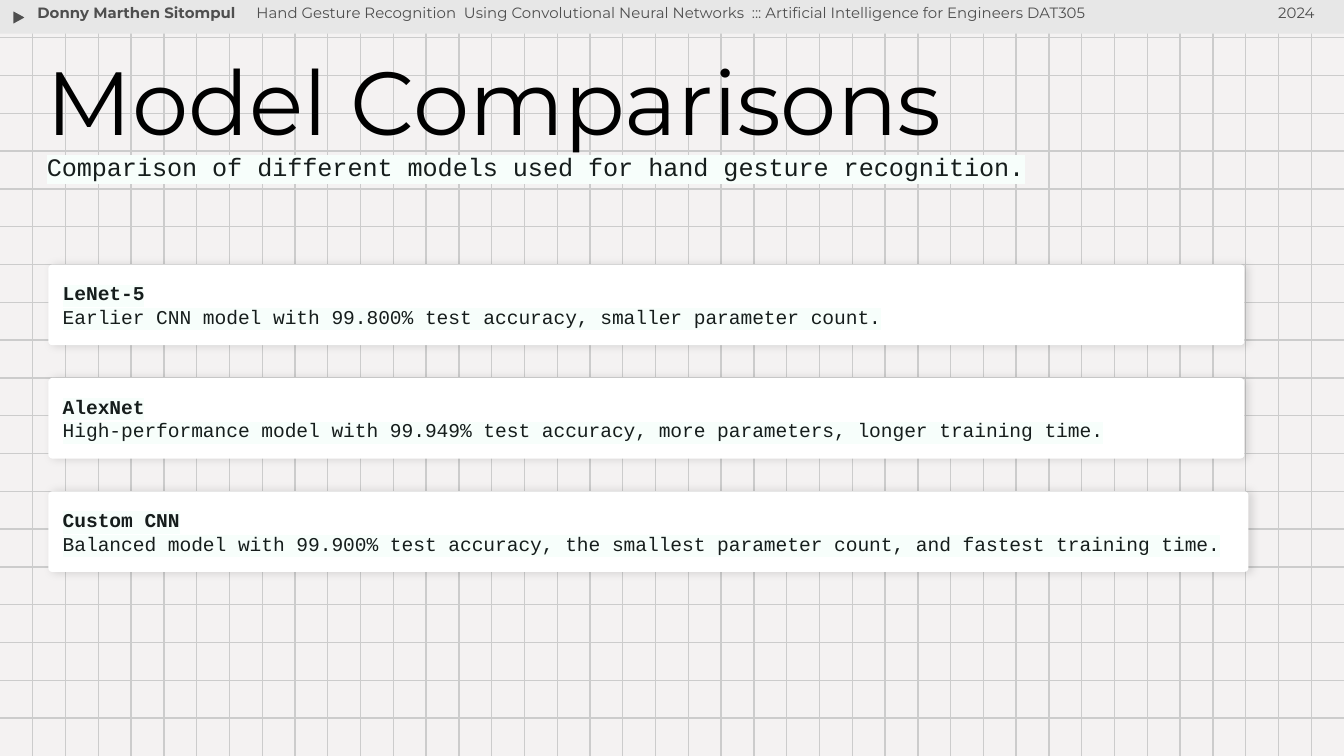
"""Build the Model Comparisons slide: gridded paper, header bar, title and model cards."""
from lxml.etree import SubElement
from pptx import Presentation
from pptx.dml.color import RGBColor
from pptx.enum.shapes import MSO_CONNECTOR, MSO_SHAPE
from pptx.enum.text import MSO_ANCHOR, PP_ALIGN
from pptx.oxml.ns import qn
from pptx.util import Inches, Pt

PAPER = RGBColor(0xF4, 0xF2, 0xF2)
GRID = RGBColor(0xCC, 0xCC, 0xCC)
BAR = RGBColor(0xE7, 0xE7, 0xE7)
GREY = RGBColor(0x4F, 0x4F, 0x4F)
BLACK = RGBColor(0, 0, 0)
WHITE = RGBColor(0xFF, 0xFF, 0xFF)
INK = RGBColor(0x16, 0x1D, 0x1C)
MINT = RGBColor(0xF7, 0xFE, 0xFB)

SANS, MONO = "Montserrat", "Courier New"
W = Inches(10)
H = W * 9 // 16
COLS, ROWS = 41, 20
COL, ROW = W / COLS, H / ROWS

HEADER = [
    ("2024", 0.863, 0.125, False, PP_ALIGN.RIGHT),
    ("Donny Marthen Sitompul", 0.018, 0.197, True, PP_ALIGN.LEFT),
    ("Hand Gesture Recognition  Using Convolutional Neural Networks  ::: "
     "Artificial Intelligence for Engineers DAT305", 0.181, 0.764, False, PP_ALIGN.LEFT),
]
CARDS = [
    ("LeNet-5", "Earlier CNN model with 99.800% test accuracy, smaller parameter count.", 0.89),
    ("AlexNet", "High-performance model with 99.949% test accuracy, more parameters, "
     "longer training time.", 0.89),
    ("Custom CNN", "Balanced model with 99.900% test accuracy, the smallest parameter count, "
     "and fastest training time.", 0.893),
]


def add_line(slide, x1, y1, x2, y2):
    """Draw one grid line without a shadow."""
    line = slide.shapes.add_connector(
        MSO_CONNECTOR.STRAIGHT, round(x1), round(y1), round(x2), round(y2))
    line.line.color.rgb = GRID
    line.line.width = Pt(0.75)
    SubElement(line._element.spPr, qn("a:effectLst"))


def add_shape(slide, kind, x, y, w, h, fill):
    """Add a flat filled shape without an outline."""
    s = slide.shapes.add_shape(kind, round(x), round(y), round(w), round(h))
    s.fill.solid()
    s.fill.fore_color.rgb = fill
    s.line.fill.background()
    s.shadow.inherit = False
    return s


def prepare_frame(s, anchor):
    """Set wrapping, margins and anchor, and return the text frame."""
    tf = s.text_frame
    tf.word_wrap = True
    tf.vertical_anchor = anchor
    tf.margin_left = tf.margin_right = tf.margin_top = tf.margin_bottom = Inches(0.1)
    return tf


def add_textbox(slide, x, y, w, h):
    """Add a top-anchored text box and return its frame."""
    s = slide.shapes.add_textbox(round(x), round(y), round(w), round(h))
    return prepare_frame(s, MSO_ANCHOR.TOP)


def style(p, font, size, color, bold=False, align=PP_ALIGN.LEFT, highlight=None):
    """Format a paragraph and its runs."""
    p.alignment = align
    for r in p.runs:
        r.font.name = font
        r.font.size = Pt(size)
        r.font.bold = bold
        r.font.color.rgb = color
        if highlight is not None:
            rpr = r._r.get_or_add_rPr()
            mark = SubElement(rpr, qn("a:highlight"))
            SubElement(mark, qn("a:srgbClr"), val=str(highlight))
            rpr.find(qn("a:solidFill")).addnext(mark)


def add_soft_shadow(s):
    """Give a shape a faint shadow to the right."""
    effects = s._element.spPr.find(qn("a:effectLst"))
    shadow = SubElement(effects, qn("a:outerShdw"), blurRad=str(Pt(4.5)),
                        dist=str(Pt(1.5)), dir="0", algn="bl", rotWithShape="0")
    color = SubElement(shadow, qn("a:srgbClr"), val=str(BLACK))
    SubElement(color, qn("a:alpha"), val="12000")


def add_grid(slide):
    """Draw the paper grid."""
    for row in range(1, ROWS):
        add_line(slide, 0, row * ROW, W, row * ROW)
    for col in range(1, COLS):
        add_line(slide, col * COL, 0, col * COL, H)


def add_header(slide):
    """Draw the top bar with its marker and texts."""
    add_shape(slide, MSO_SHAPE.RECTANGLE, 0, 0, W, Inches(0.25), BAR)
    marker = add_shape(slide, MSO_SHAPE.ISOSCELES_TRIANGLE, 0.009 * W, Inches(0.08),
                       0.011 * W, Inches(0.1), GREY)
    marker.rotation = 90
    marker.line.color.rgb = BAR
    marker.line.width = Pt(0.75)
    for text, x, w, bold, align in HEADER:
        tf = add_textbox(slide, x * W, Inches(-0.04), w * W, Inches(0.34))
        tf.text = text
        style(tf.paragraphs[0], SANS, 8, GREY, bold, align)


def add_title(slide):
    """Write the title and its subtitle."""
    tf = add_textbox(slide, 0.025 * W, Inches(0.33), 0.934 * W, 4 * ROW)
    tf.text = ("Model Comparisons\n"
               "Comparison of different models used for hand gesture recognition.")
    title, subtitle = tf.paragraphs
    title.line_spacing = subtitle.line_spacing = 0.9
    style(title, SANS, 48, BLACK)
    style(subtitle, MONO, 13.5, INK, highlight=MINT)


def add_card(slide, row, name, description, width):
    """Add one model card starting at a grid row."""
    s = add_shape(slide, MSO_SHAPE.ROUNDED_RECTANGLE, 0.036 * W, row * ROW,
                  width * W, Inches(0.6), WHITE)
    s.adjustments[0] = 0.05
    add_soft_shadow(s)
    tf = prepare_frame(s, MSO_ANCHOR.MIDDLE)
    tf.text = f"{name}\n{description}"
    for p, bold in zip(tf.paragraphs, (True, False)):
        style(p, MONO, 10.5, INK, bold, highlight=MINT)


def main():
    """Build and save the slide."""
    prs = Presentation()
    prs.slide_width, prs.slide_height = W, H
    slide = prs.slides.add_slide(prs.slide_layouts[6])
    slide.background.fill.solid()
    slide.background.fill.fore_color.rgb = PAPER
    add_grid(slide)
    add_header(slide)
    add_title(slide)
    for i, card in enumerate(CARDS):
        add_card(slide, 7 + 3 * i, *card)
    prs.save("out.pptx")


if __name__ == "__main__":
    main()
